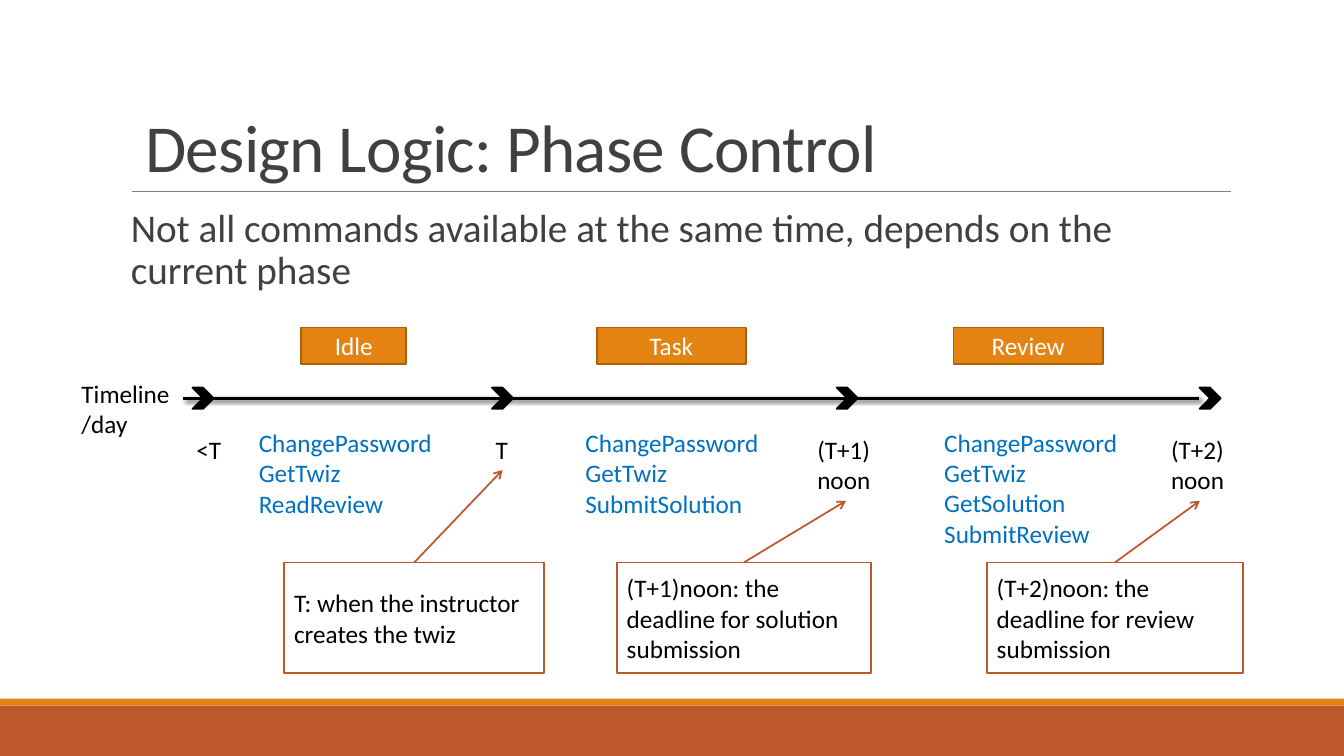
from dataclasses import dataclass
from typing import Optional

from lxml.etree import SubElement
from pptx import Presentation
from pptx.dml.color import RGBColor
from pptx.enum.shapes import MSO_CONNECTOR, MSO_SHAPE
from pptx.enum.text import MSO_ANCHOR, PP_ALIGN
from pptx.oxml.ns import qn
from pptx.util import Pt

RUST = RGBColor(0xBD, 0x58, 0x2C)
ORANGE = RGBColor(0xE4, 0x83, 0x12)
BROWN = RGBColor(0xA9, 0x61, 0x0D)
GRAY = RGBColor(0x80, 0x80, 0x80)
CHARCOAL = RGBColor(0x40, 0x40, 0x40)
BLUE = RGBColor(0x00, 0x70, 0xC0)
BLACK = RGBColor(0x00, 0x00, 0x00)
WHITE = RGBColor(0xFF, 0xFF, 0xFF)

FONT = "Calibri"
TIMELINE_TOP = 284.4
CHEVRON_SIZE = 15.1
BOTTOM, TOP = 2, 0


@dataclass
class Phase:
    name: str
    name_left: float
    name_width: float
    commands: list[str]
    commands_left: float


@dataclass
class Milestone:
    label: str
    left: float
    width: float
    height: float
    chevron_left: float
    note: Optional[str] = None
    note_left: float = 0
    note_width: float = 0


PHASES = [
    Phase("Idle", 215.3, 74.9, ["ChangePassword", "GetTwiz", "ReadReview"], 177.8),
    Phase("Task", 426.2, 106.6, ["ChangePassword", "GetTwiz", "SubmitSolution"], 411.1),
    Phase("Review", 681.1, 106.6,
          ["ChangePassword", "GetTwiz", "GetSolution", "SubmitReview"], 667.4),
]
MILESTONES = [
    Milestone("<T", 133.2, 32.4, 29, 137.5),
    Milestone("T", 347, 24, 29, 351.4,
              "T: when the instructor creates the twiz", 203, 185.8),
    Milestone("(T+1)noon", 576.7, 55.4, 51, 597.6,
              "(T+1)noon: the deadline for solution submission", 440.6, 181.4),
    Milestone("(T+2)noon", 829.4, 55.4, 51, 856.8,
              "(T+2)noon: the deadline for review submission", 704.9, 182.9),
]


def write(box, text: str, *, size: float = 18, color: RGBColor = BLACK,
          align=PP_ALIGN.LEFT, anchor=MSO_ANCHOR.TOP, line_spacing: float = 1,
          tracking: float = 0, margin_left: float = 7.2, margin_right: float = 7.2) -> None:
    """Fill a shape with text, one paragraph per line; tracking is in points."""
    frame = box.text_frame
    frame.word_wrap = True
    frame.vertical_anchor = anchor
    frame.margin_left, frame.margin_right = Pt(margin_left), Pt(margin_right)
    for index, line in enumerate(text.split("\n")):
        para = frame.add_paragraph() if index else frame.paragraphs[0]
        para.alignment = align
        para.line_spacing = line_spacing
        span = para.add_run()
        span.text = line
        span.font.name = FONT
        span.font.size = Pt(size)
        span.font.color.rgb = color
        if tracking:
            span.font._element.set("spc", str(round(tracking * 100)))


def add_text(page, text: str, left: float, top: float, width: float, height: float,
             **text_format):
    box = page.shapes.add_textbox(Pt(left), Pt(top), Pt(width), Pt(height))
    write(box, text, **text_format)
    return box


def add_block(page, left: float, top: float, width: float, height: float, fill: RGBColor,
              outline: Optional[RGBColor] = None, kind=MSO_SHAPE.RECTANGLE):
    block = page.shapes.add_shape(kind, Pt(left), Pt(top), Pt(width), Pt(height))
    block.shadow.inherit = False
    block.fill.solid()
    block.fill.fore_color.rgb = fill
    if outline is None:
        block.line.fill.background()
    else:
        block.line.color.rgb = outline
        block.line.width = Pt(1.25)
    return block


def add_line(page, color: RGBColor, weight: float, left: float = 0, right: float = 0,
             top: float = 0):
    """Draw a horizontal line and return it with its empty effect list."""
    line = page.shapes.add_connector(
        MSO_CONNECTOR.STRAIGHT, Pt(left), Pt(top), Pt(right), Pt(top))
    line.line.color.rgb = color
    line.line.width = Pt(weight)
    effects = SubElement(line._element.spPr, qn("a:effectLst"))
    return line, effects


def add_shadow(effects) -> None:
    shadow = SubElement(effects, qn("a:outerShdw"), blurRad=str(Pt(3)), dist=str(Pt(2)),
                        dir=str(45 * 60000), rotWithShape="0")
    color = SubElement(shadow, qn("a:srgbClr"), val=str(BLACK))
    SubElement(color, qn("a:alpha"), val="60000")


def join_with_arrow(page, note, label) -> None:
    arrow, _ = add_line(page, RUST, 1.25)
    arrow.begin_connect(note, TOP)
    arrow.end_connect(label, BOTTOM)
    SubElement(arrow.line._get_or_add_ln(), qn("a:tailEnd"), type="arrow")


def add_phase(page, phase: Phase) -> None:
    tag = add_block(page, phase.name_left, 234, phase.name_width, 26, ORANGE, BROWN)
    write(tag, phase.name, color=WHITE, align=PP_ALIGN.CENTER, anchor=MSO_ANCHOR.MIDDLE)
    add_text(page, "\n".join(phase.commands), phase.commands_left, 301.7, 139.7,
             7.2 + 21.8 * len(phase.commands), color=BLUE)


def add_milestone(page, milestone: Milestone) -> None:
    add_block(page, milestone.chevron_left, TIMELINE_TOP - CHEVRON_SIZE / 2,
              CHEVRON_SIZE, CHEVRON_SIZE, BLACK, BLACK, MSO_SHAPE.CHEVRON)
    label = add_text(page, milestone.label, milestone.left, 306.7,
                     milestone.width, milestone.height)
    if milestone.note:
        note = add_block(page, milestone.note_left, 401.8, milestone.note_width, 79.2,
                         WHITE, RUST)
        write(note, milestone.note, anchor=MSO_ANCHOR.MIDDLE)
        join_with_arrow(page, note, label)


def main() -> None:
    deck = Presentation()
    deck.slide_width, deck.slide_height = Pt(960), Pt(540)
    page = deck.slides.add_slide(deck.slide_layouts[6])

    add_block(page, 0, 504, 960, 36, RUST)
    add_block(page, 0, 499, 960, 5, ORANGE)
    add_line(page, GRAY, 0.5, 94.3, 879.1, 136.8)
    add_text(page, "Design Logic: Phase Control", 86.4, 22.3, 792, 114.5, size=48,
             color=CHARCOAL, anchor=MSO_ANCHOR.BOTTOM, line_spacing=0.85, tracking=-0.5,
             margin_left=17.5)
    add_text(page, "Not all commands available at the same time, depends on the current phase",
             86.4, 145.4, 792, 63.4, size=28, color=CHARCOAL, line_spacing=0.9,
             margin_left=7.2, margin_right=0)

    _, effects = add_line(page, BLACK, 2, 131, 856.1, TIMELINE_TOP)
    add_shadow(effects)
    add_text(page, "Timeline\n/day", 51.1, 266.4, 78.5, 51)
    for phase in PHASES:
        add_phase(page, phase)
    for milestone in MILESTONES:
        add_milestone(page, milestone)

    deck.save("out.pptx")


if __name__ == "__main__":
    main()
